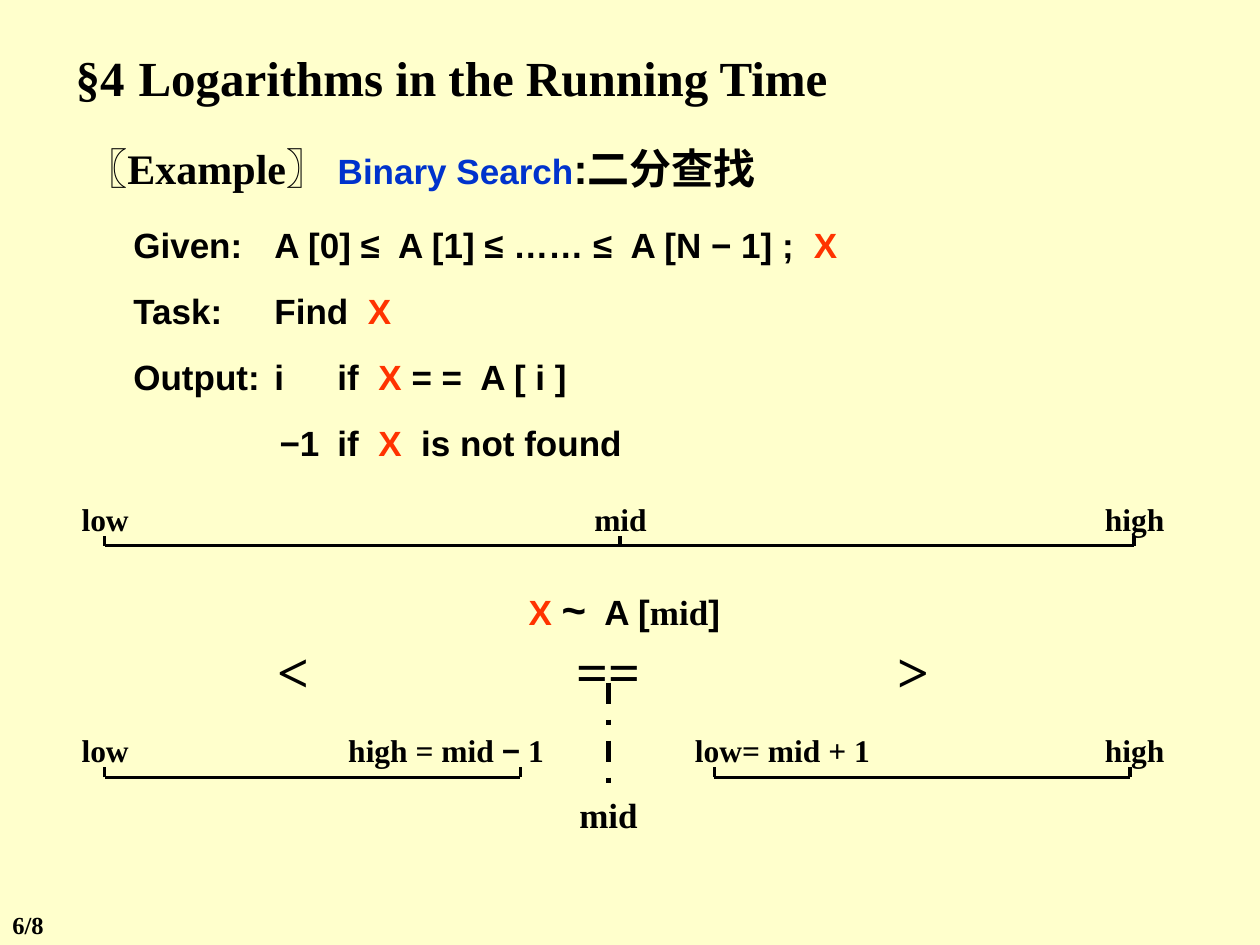
"""Build the binary search slide with its three bracketed ranges."""
from dataclasses import dataclass

from lxml import etree
from pptx import Presentation, util as u
from pptx.dml.color import RGBColor
from pptx.enum import dml, shapes, text
from pptx.oxml import ns

COLORS = {"background": "FFFFCC", "ink": "000000", "key": "FF3300", "topic": "0033CC"}
SERIF, SANS = "Times New Roman", "Arial"
CENTER, LEFT = text.PP_ALIGN.CENTER, text.PP_ALIGN.LEFT


@dataclass(frozen=True)
class Run:
    words: str
    size: float = 20
    font: str = SANS
    color: str = "ink"


@dataclass(frozen=True)
class Row:
    runs: tuple[Run, ...]
    indent: float = 0
    tabs: tuple[float, ...] = ()
    before: float = 0
    align: text.PP_ALIGN = LEFT


@dataclass(frozen=True)
class Label:
    left: float
    top: float
    width: float
    height: float
    runs: tuple[Run, ...]


@dataclass(frozen=True)
class Bracket:
    y: float
    ticks: tuple[float, ...]


def serif(words: str, size: float = 18) -> Run:
    return Run(words, size, SERIF)


X = Run("X", color="key")
TITLE = Row((serif("§4\tLogarithms in the Running Time", 28),), tabs=(0.68,))
BODY = (
    Row((serif("〖Example〗 ", 24), Run("Binary Search", color="topic"), Run(":二分查找", 24))),
    Row((Run("Given:\tA [0] ≤  A [1] ≤ …… ≤  A [N − 1] ;  "), X), 0.38, (1.54,), 17.4),
    Row((Run("Task:\tFind  "), X), 0.38, (1.55,), 13.8),
    Row((Run("Output:\ti\tif  "), X, Run(" = =  A [ i ]")), 0.38, (1.62, 2.16), 13.8),
    Row((Run("−1\tif  "), X, Run("  is not found")), 1.54, (2.17,), 13.8),
)
BRACKETS = (
    Bracket(4.33, (0.83, 4.92, 9)),
    Bracket(6.17, (0.83, 4.13)),
    Bracket(6.17, (5.67, 8.97)),
)
LABELS = (
    Label(4.55, 3.92, 0.75, 0.4, (serif("mid"),)),
    Label(2.5, 5.75, 2.08, 0.4, (serif("high = mid "), Run("−", 18), serif(" 1"))),
    Label(5.17, 5.75, 2.08, 0.4, (serif("low= mid + 1"),)),
    Label(3.08, 4.58, 3.75, 0.5,
          (X, Run(" "), Run("~", 24), Run("  A ["), serif("mid", 20), Run("]"))),
    *(Label(left, top, 0.67, 0.4, (serif(words),))
      for top in (3.92, 5.75) for left, words in ((0.5, "low"), (8.67, "high"))),
    *(Label(left, 5, 1, 0.64, (serif(sign, 32),))
      for left, sign in ((1.83, "<"), (4.33, "=="), (6.75, ">"))),
)
RESULT = Label(4.33, 6.25, 1, 0.44, (serif("mid", 20),))


def apply(target, values: dict) -> None:
    for name, value in values.items():
        setattr(target, name, value)


def color(name: str) -> RGBColor:
    return RGBColor.from_string(COLORS[name])


def write(shape, rows: tuple[Row, ...], margin: float = 0.1) -> None:
    frame = shape.text_frame
    apply(frame, {
        "word_wrap": True,
        "auto_size": text.MSO_AUTO_SIZE.NONE,
        "vertical_anchor": text.MSO_ANCHOR.TOP,
        "margin_left": u.Inches(margin),
        "margin_right": u.Inches(margin),
        "margin_top": u.Inches(0.05),
        "margin_bottom": u.Inches(0.05),
    })
    for index, row in enumerate(rows):
        paragraph = frame.add_paragraph() if index else frame.paragraphs[0]
        apply(paragraph, {"alignment": row.align, "space_before": u.Pt(row.before)})
        properties = paragraph._p.get_or_add_pPr()
        properties.set("marL", "0")
        properties.set("indent", str(u.Inches(row.indent)))
        if row.tabs:
            stops = etree.SubElement(properties, ns.qn("a:tabLst"))
            for stop in row.tabs:
                etree.SubElement(stops, ns.qn("a:tab"), pos=str(u.Inches(stop)), algn="l")
        for item in row.runs:
            run = paragraph.add_run()
            run.text = item.words
            apply(run.font, {"size": u.Pt(item.size), "name": item.font, "bold": True})
            run.font.color.rgb = color(item.color)


def add_text(slide, left: float, top: float, width: float, height: float,
             rows: tuple[Row, ...], margin: float = 0.1):
    shape = slide.shapes.add_textbox(*map(u.Inches, (left, top, width, height)))
    write(shape, rows, margin)
    return shape


def add_label(slide, label: Label):
    return add_text(slide, label.left, label.top, label.width, label.height,
                    (Row(label.runs, align=CENTER),), 0)


def add_line(slide, x1: float, y1: float, x2: float, y2: float, width: float = 2):
    line = slide.shapes.add_connector(
        shapes.MSO_CONNECTOR.STRAIGHT, *map(u.Inches, (x1, y1, x2, y2)))
    line.line.color.rgb = color("ink")
    line.line.width = u.Pt(width)
    etree.SubElement(line._element.spPr, ns.qn("a:effectLst"))
    return line


def add_bracket(slide, bracket: Bracket) -> None:
    add_line(slide, bracket.ticks[0], bracket.y, bracket.ticks[-1], bracket.y)
    for x in bracket.ticks:
        add_line(slide, x, bracket.y, x, bracket.y - 0.08)


def main() -> None:
    presentation = Presentation()
    apply(presentation, {"slide_width": u.Inches(10), "slide_height": u.Inches(7.5)})
    slide = presentation.slides.add_slide(presentation.slide_layouts[5])
    slide.background.fill.solid()
    slide.background.fill.fore_color.rgb = color("background")

    title = slide.shapes.title
    apply(title, {"left": u.Inches(0.5), "top": u.Inches(0.33),
                  "width": u.Inches(7.17), "height": u.Inches(0.57)})
    write(title, (TITLE,))
    add_text(slide, 0.58, 1.08, 6.58, 2.6, BODY)

    for bracket in BRACKETS:
        add_bracket(slide, bracket)
    for label in LABELS:
        add_label(slide, label)

    result = add_label(slide, RESULT)
    branch = add_line(slide, 4.83, 5.42, 4.83, 6.25, 3)
    branch.line.dash_style = dml.MSO_LINE.DASH_DOT
    branch.end_connect(result, 0)
    add_text(slide, 0, 7.17, 0.58, 0.34, (Row((serif("6/8", 14),)),))
    presentation.save("out.pptx")


if __name__ == "__main__":
    main()
